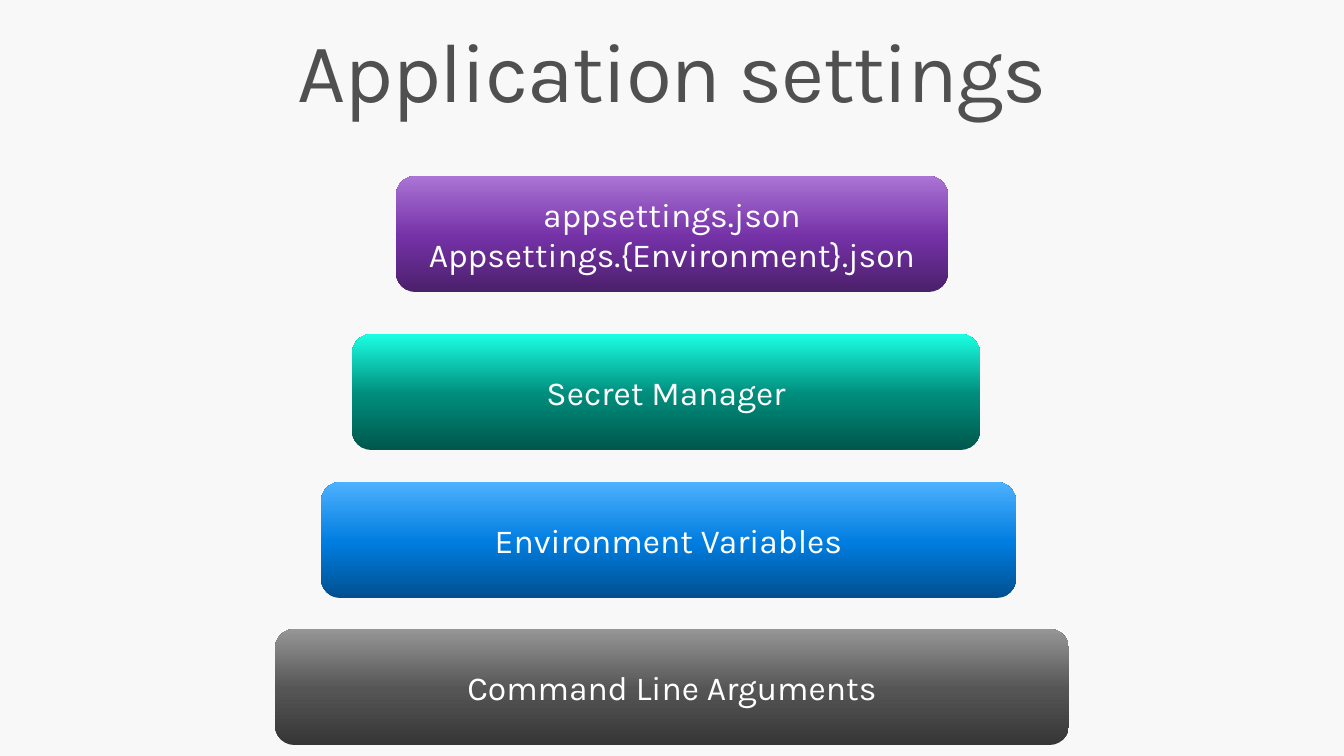
from copy import deepcopy

from pptx import Presentation
from pptx.dml.color import RGBColor
from pptx.enum.shapes import MSO_SHAPE
from pptx.enum.text import MSO_ANCHOR, MSO_AUTO_SIZE, PP_ALIGN
from pptx.oxml.ns import qn
from pptx.util import Pt

PX = 914400 / 100.8
BOX_HEIGHT = 116
STOP_POSITIONS = (0, 0.48, 1)


def px(length):
    return round(length * PX)


def color(hex_value):
    return RGBColor.from_string(hex_value)


presentation = Presentation()
presentation.slide_width, presentation.slide_height = px(1344), px(756)
slide = presentation.slides.add_slide(presentation.slide_layouts[5])
slide.background.fill.solid()
slide.background.fill.fore_color.rgb = color("F8F8F8")

title = slide.shapes.title
title_place = {"left": 168, "top": 20, "width": 1008, "height": 111}
for name, value in title_place.items():
    setattr(title, name, px(value))
title_frame = title.text_frame
title_format = {
    "text": "Application settings",
    "word_wrap": True,
    "auto_size": MSO_AUTO_SIZE.NONE,
    "vertical_anchor": MSO_ANCHOR.BOTTOM,
    "margin_left": px(16),
    "margin_right": px(16),
    "margin_top": px(10),
    "margin_bottom": px(10),
}
for name, value in title_format.items():
    setattr(title_frame, name, value)
paragraph = title_frame.paragraphs[0]
paragraph.alignment = PP_ALIGN.CENTER
paragraph.line_spacing = 0.9
run = paragraph.runs[0]
for name, value in {"name": "Karla", "size": Pt(60)}.items():
    setattr(run.font, name, value)
run.font.color.rgb = color("505050")
run.font._element.set("spc", "-100")

# Each source of settings: left, top, width, gradient from bottom to top, lines
sources = [
    (396, 176, 552, ("4B206B", "7532A7", "AB74D5"),
     ("appsettings.json", "Appsettings.{Environment}.json")),
    (352, 334, 628, ("00574C", "008D7C", "1BFFE3"), ("Secret Manager",)),
    (321, 482, 695, ("005090", "007DE0", "4EB1FF"), ("Environment Variables",)),
    (275, 629, 794, ("363636", "555555", "969696"), ("Command Line Arguments",)),
]

for left, top, width, gradient, lines in sources:
    box = slide.shapes.add_shape(
        MSO_SHAPE.ROUNDED_RECTANGLE, px(left), px(top), px(width), px(BOX_HEIGHT)
    )
    box.shadow.inherit = False
    box.line.fill.background()

    box.fill.gradient()
    box.fill.gradient_angle = 90
    stop_list = box.element.spPr.find(".//" + qn("a:gsLst"))
    stop_list.insert(1, deepcopy(stop_list[0]))
    for stop, position, hex_value in zip(box.fill.gradient_stops, STOP_POSITIONS, gradient):
        stop.position = position
        stop.color.rgb = color(hex_value)

    box_frame = box.text_frame
    box_frame.text = "\n".join(lines)
    box_frame.word_wrap = True
    box_frame.vertical_anchor = MSO_ANCHOR.MIDDLE
    for paragraph in box_frame.paragraphs:
        paragraph.alignment = PP_ALIGN.CENTER
        for name, value in {"name": "Karla", "size": Pt(24)}.items():
            setattr(paragraph.font, name, value)
        paragraph.font.color.rgb = color("FFFFFF")

presentation.save("out.pptx")
